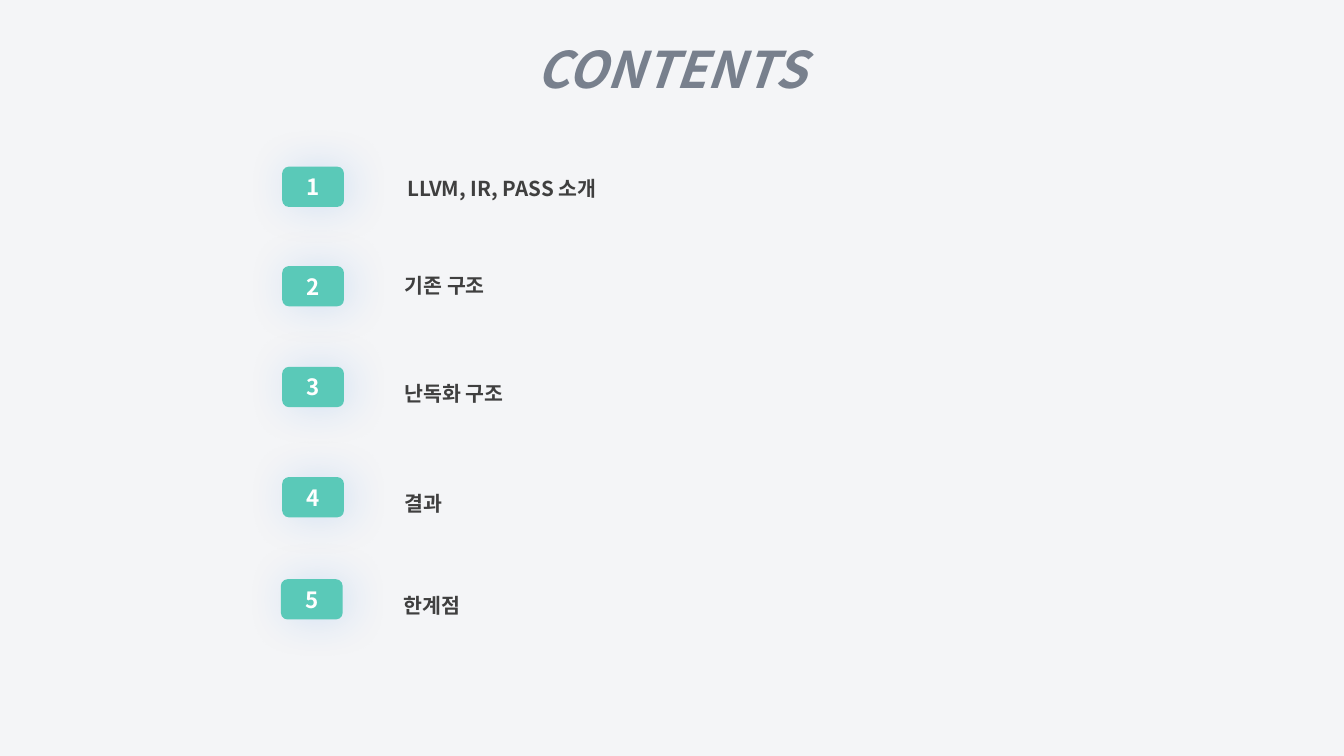
from lxml.etree import SubElement
from pptx import Presentation
from pptx.dml.color import RGBColor
from pptx.enum.shapes import MSO_SHAPE
from pptx.enum.text import MSO_ANCHOR, MSO_AUTO_SIZE, PP_ALIGN
from pptx.oxml.ns import qn
from pptx.util import Inches, Pt

FONT = "Noto Sans CJK KR"
# topic, row left, badge top, label offset from the row's left and badge top, label height
TOPICS = [
    ("LLVM, IR, PASS 소개", 2.1, 1.24, 0.86, -0.06, 0.41),
    ("기존 구조", 2.1, 1.98, 0.84, -0.08, 0.36),
    ("난독화 구조", 2.1, 2.73, 0.84, -0.03, 0.36),
    ("결과", 2.1, 3.55, 0.84, -0.03, 0.36),
    ("한계점", 2.09, 4.31, 0.84, -0.03, 0.36),
]


def color(value):
    return RGBColor.from_string(value)


def write(frame, text, size, ink, align, anchor=MSO_ANCHOR.TOP, spacing=None):
    """Set the one bold paragraph of a text frame, with equal Latin and Korean fonts."""
    frame.word_wrap = True
    frame.auto_size = MSO_AUTO_SIZE.NONE
    frame.vertical_anchor = anchor
    frame.margin_left = frame.margin_right = Inches(0.07)
    frame.margin_top = frame.margin_bottom = Inches(0.04)
    paragraph = frame.paragraphs[0]
    run = paragraph.add_run()
    run.text = text
    paragraph.alignment = align
    paragraph.line_spacing = spacing
    font = run.font
    font.name, font.size, font.bold = FONT, Pt(size), True
    font.color.rgb = color(ink)
    SubElement(run._r.get_or_add_rPr(), qn("a:ea"), typeface=FONT)
    return font


def add_glow(shape):
    """Give a shape a soft blue shadow."""
    shape.shadow.inherit = False
    effects = shape._element.spPr.find(qn("a:effectLst"))
    shadow = SubElement(effects, qn("a:outerShdw"), blurRad=str(Pt(23)),
                        dist=str(Pt(3)), dir="0", algn="ctr", rotWithShape="0")
    tint = SubElement(shadow, qn("a:srgbClr"), val="1A73DE")
    SubElement(tint, qn("a:alpha"), val="17000")


def place_heading(slide, left, top, width, height):
    heading = slide.shapes.title
    heading.left, heading.top = Inches(left), Inches(top)
    heading.width, heading.height = Inches(width), Inches(height)
    font = write(heading.text_frame, "CONTENTS", 27, "78808D", PP_ALIGN.CENTER, spacing=1.5)
    font.italic = True


def add_topic(slide, number, topic, left, top, label_dx, label_dy, label_height):
    badge = slide.shapes.add_shape(MSO_SHAPE.ROUNDED_RECTANGLE, Inches(left), Inches(top),
                                   Inches(0.46), Inches(0.3))
    badge.adjustments[0] = 0.167
    badge.fill.solid()
    badge.fill.fore_color.rgb = color("5AC9B8")
    badge.line.fill.background()
    add_glow(badge)
    write(badge.text_frame, str(number), 12, "FFFFFF", PP_ALIGN.CENTER, MSO_ANCHOR.MIDDLE)

    label = slide.shapes.add_textbox(Inches(left + label_dx), Inches(top + label_dy),
                                     Inches(3.5), Inches(label_height))
    write(label.text_frame, topic, 11, "3F3F3F", PP_ALIGN.LEFT, spacing=1.5)


def main():
    deck = Presentation()
    deck.slide_width = Inches(10)
    deck.slide_height = deck.slide_width * 9 // 16
    slide = deck.slides.add_slide(deck.slide_layouts[5])
    slide.background.fill.solid()
    slide.background.fill.fore_color.rgb = color("F4F5F7")
    place_heading(slide, 2.56, 0.02, 4.87, 0.67)
    for number, row in enumerate(TOPICS, 1):
        add_topic(slide, number, *row)
    deck.save("out.pptx")


if __name__ == "__main__":
    main()
